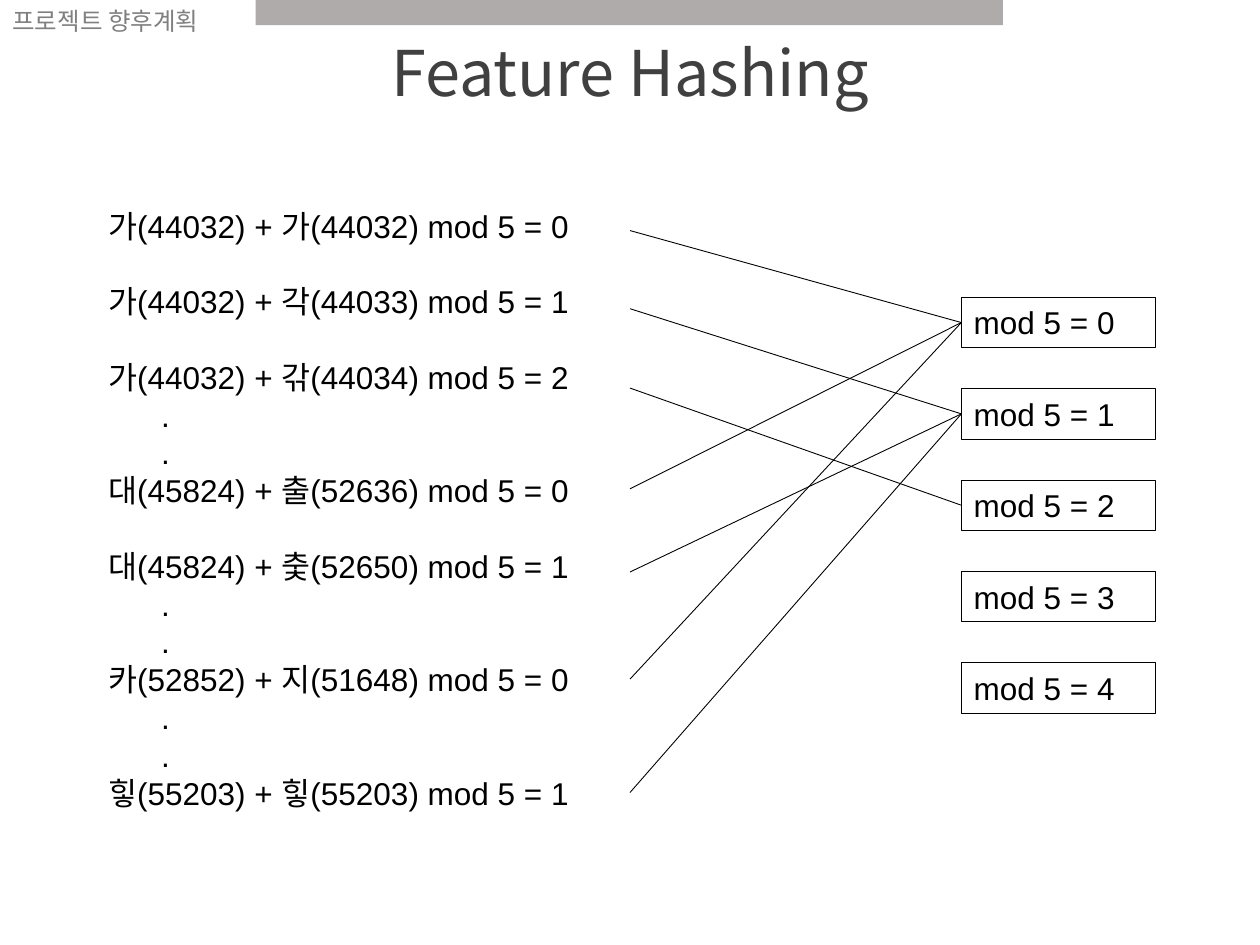
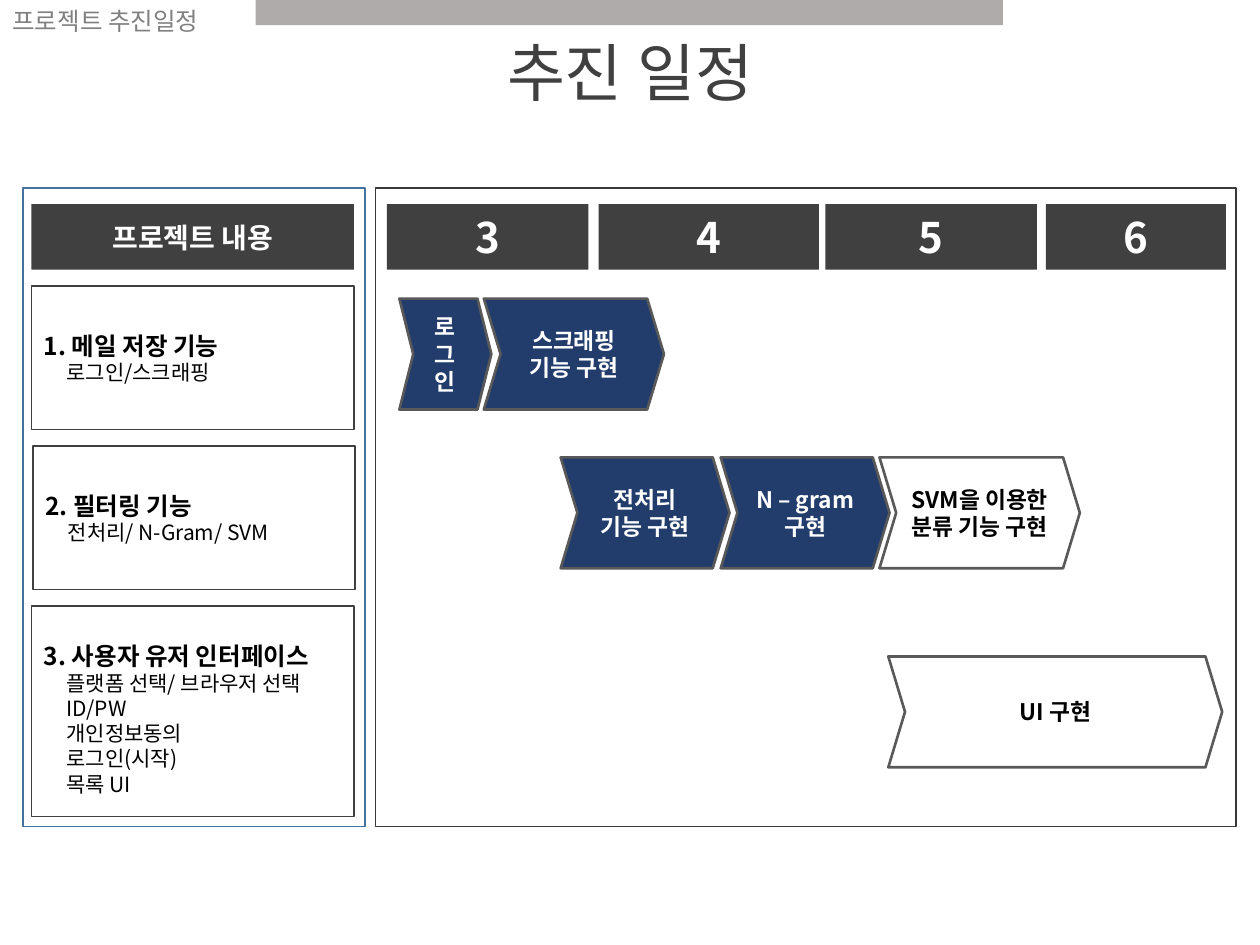
from dataclasses import dataclass
from typing import Optional

import lxml.etree
import pptx
import pptx.dml.color
import pptx.enum.shapes
import pptx.enum.text
import pptx.oxml.ns
import pptx.util

Inches = pptx.util.Inches
Pt = pptx.util.Pt
Kind = pptx.enum.shapes.MSO_SHAPE
Align = pptx.enum.text.PP_ALIGN
Anchor = pptx.enum.text.MSO_ANCHOR
qn = pptx.oxml.ns.qn

COLORS = {
    "band": "AFABAB", "tag": "808080", "dark": "404040", "black": "000000",
    "white": "FFFFFF", "navy": "223C6C", "arrow_edge": "595959",
    "plan_edge": "3B3838", "content_edge": "43739E",
}
HANGUL_FONT = "Noto Sans CJK KR"
LATIN_FONT = "Arial"


@dataclass(frozen=True)
class Area:
    left: float
    top: float
    width: float
    height: float

    def lengths(self) -> tuple:
        return tuple(Inches(n) for n in (self.left, self.top, self.width, self.height))


@dataclass(frozen=True)
class Style:
    size: float
    color: str = "black"
    bold: bool = False
    font: str = HANGUL_FONT
    align: Align = Align.LEFT
    spacing: Optional[float] = None
    indent: float = 0


@dataclass(frozen=True)
class Formula:
    text: str
    link_top: float
    remainder: int
    dots_before: bool = False


@dataclass(frozen=True)
class Month:
    name: str
    left: float
    width: float


@dataclass(frozen=True)
class Step:
    lines: tuple
    left: float
    top: float
    width: float
    done: bool = True


@dataclass(frozen=True)
class Feature:
    title: str
    details: tuple
    left: float
    height: float
    title_spacing: Optional[float] = None


def rgb(name: str) -> pptx.dml.color.RGBColor:
    return pptx.dml.color.RGBColor.from_string(COLORS[name])


def style_paragraph(para, style: Style) -> None:
    para.alignment = style.align
    if style.spacing:
        para.line_spacing = style.spacing
    properties = para._p.get_or_add_pPr()
    if style.indent:
        properties.set("marL", str(Inches(style.indent)))
        properties.set("indent", "0")
    font = para.font
    font.size, font.bold, font.name = Pt(style.size), style.bold, style.font
    font.color.rgb = rgb(style.color)
    east_asian = lxml.etree.SubElement(properties.find(qn("a:defRPr")), qn("a:ea"))
    east_asian.set("typeface", HANGUL_FONT)


def write(shape, lines: list, anchor: Anchor = Anchor.TOP, wrap: bool = True) -> None:
    """Fill a shape with (text, style) lines."""
    frame = shape.text_frame
    frame.word_wrap = wrap
    frame.vertical_anchor = anchor
    for index, (text, style) in enumerate(lines):
        para = frame.add_paragraph() if index else frame.paragraphs[0]
        para.text = text
        style_paragraph(para, style)


def add_box(page, area: Area, fill: str = "", line: str = "",
            weight: float = 1, kind: Kind = Kind.RECTANGLE):
    box = page.shapes.add_shape(kind, *area.lengths())
    box.shadow.inherit = False
    if fill:
        box.fill.solid()
        box.fill.fore_color.rgb = rgb(fill)
    else:
        box.fill.background()
    if line:
        box.line.color.rgb = rgb(line)
        box.line.width = Pt(weight)
    else:
        box.line.fill.background()
    return box


def add_text(page, area: Area, lines: list, anchor: Anchor = Anchor.TOP,
             wrap: bool = True):
    box = page.shapes.add_textbox(*area.lengths())
    write(box, lines, anchor, wrap)
    return box


def add_link(page, start: tuple, end: tuple) -> None:
    link = page.shapes.add_connector(
        pptx.enum.shapes.MSO_CONNECTOR.STRAIGHT,
        *(Inches(n) for n in (*start, *end)))
    link.line.color.rgb = rgb("black")
    link.line.width = Pt(0.5)
    lxml.etree.SubElement(link._element.spPr, qn("a:effectLst"))


def add_page(deck, tag: str, title: str):
    """Start a page with the shared band, corner tag and title."""
    page = deck.slides.add_slide(deck.slide_layouts[6])
    add_box(page, Area(2.03, 0, 5.93, 0.2), fill="band")
    add_text(page, Area(0, 0, 2.02, 0.34), [(tag, Style(14, "tag"))])
    title_style = Style(36, "dark", align=Align.CENTER, spacing=0.9)
    add_text(page, Area(0.76, 0.24, 8.48, 0.72), [(title, title_style)], Anchor.MIDDLE)
    return page


# Feature hashing: formulas on the left, remainder buckets on the right
FORMULAS = [
    Formula("가(44032) + 가(44032) mod 5 = 0", 1.83, 0),
    Formula("가(44032) + 각(44033) mod 5 = 1", 2.45, 1),
    Formula("가(44032) + 갂(44034) mod 5 = 2", 3.08, 2),
    Formula("대(45824) + 출(52636) mod 5 = 0", 3.88, 0, True),
    Formula("대(45824) + 춫(52650) mod 5 = 1", 4.54, 1),
    Formula("카(52852) + 지(51648) mod 5 = 0", 5.39, 0, True),
    Formula("힣(55203) + 힣(55203) mod 5 = 1", 6.29, 1, True),
]
LINE_PITCH = Pt(21.6)
BUCKET_COUNT = 5
BUCKET_LEFT, BUCKET_TOP, BUCKET_PITCH, BUCKET_HEIGHT = 7.63, 2.36, 0.725, 0.4


def build_hashing(deck) -> None:
    page = add_page(deck, "프로젝트 향후계획", "Feature Hashing")
    plain = Style(18, font=LATIN_FONT)
    dot = Style(18, font=LATIN_FONT, indent=0.42)

    lines = []
    for formula in FORMULAS:
        if formula.dots_before:
            lines += [(".", dot)] * 2
        lines.append((formula.text, plain))
    box = add_text(page, Area(0.76, 1.59, 4.27, 5.25), lines, wrap=False)
    spaced = {f.text for f in FORMULAS[1:] if not f.dots_before}
    for para in box.text_frame.paragraphs:
        para.line_spacing = LINE_PITCH
        if para.text in spaced:
            para.space_before = LINE_PITCH

    for remainder in range(BUCKET_COUNT):
        top = BUCKET_TOP + remainder * BUCKET_PITCH
        bucket = add_box(page, Area(BUCKET_LEFT, top, 1.54, BUCKET_HEIGHT),
                         line="black", weight=0.5)
        write(bucket, [(f"mod 5 = {remainder}", plain)], wrap=False)

    for formula in FORMULAS:
        middle = BUCKET_TOP + formula.remainder * BUCKET_PITCH + BUCKET_HEIGHT / 2
        add_link(page, (5, formula.link_top), (BUCKET_LEFT, middle))


# Schedule: features on the left, months and steps on the right
MONTHS = [Month("3", 3.07, 1.6), Month("4", 4.75, 1.75),
          Month("5", 6.55, 1.68), Month("6", 8.3, 1.43)]
STEPS = [
    Step(("로그인",), 3.17, 2.37, 0.73),
    Step(("스크래핑", "기능 구현"), 3.84, 2.37, 1.43),
    Step(("전처리", "기능 구현"), 4.45, 3.63, 1.34),
    Step(("N – gram 구현",), 5.72, 3.63, 1.34),
    Step(("SVM을 이용한", "분류 기능 구현"), 6.98, 3.63, 1.59, done=False),
    Step(("UI 구현",), 7.05, 5.21, 2.65, done=False),
]
FEATURES = [
    Feature("1. 메일 저장 기능", ("로그인/스크래핑",), 0.25, 1.14),
    Feature("2. 필터링 기능", ("전처리/ N-Gram/ SVM",), 0.26, 1.14),
    Feature("3. 사용자 유저 인터페이스",
            ("플랫폼 선택/ 브라우저 선택", "ID/PW", "개인정보동의", "로그인(시작)", "목록 UI"),
            0.25, 1.67, title_spacing=1.5),
]
FEATURE_TOP, FEATURE_PITCH = 2.27, 1.27


def add_header(page, text: str, left: float, width: float, size: float) -> None:
    header = add_box(page, Area(left, 1.62, width, 0.52), fill="dark")
    write(header, [(text, Style(size, "white", True, align=Align.CENTER))], Anchor.MIDDLE)


def add_step(page, step: Step) -> None:
    arrow = add_box(page, Area(step.left, step.top, step.width, 0.88),
                    "navy" if step.done else "", "arrow_edge", 1.5, Kind.CHEVRON)
    arrow.adjustments[0] = 0.151
    style = Style(13, "white" if step.done else "black", True, align=Align.CENTER)
    write(arrow, [(line, style) for line in step.lines], Anchor.MIDDLE)


def add_feature(page, feature: Feature, top: float) -> None:
    card = add_box(page, Area(feature.left, top, 2.56, feature.height), line="dark")
    heading = (feature.title, Style(14, bold=True, spacing=feature.title_spacing))
    detail = Style(12, indent=0.18)
    write(card, [heading] + [(text, detail) for text in feature.details], Anchor.MIDDLE)


def build_schedule(deck) -> None:
    page = add_page(deck, "프로젝트 추진일정", "추진 일정")
    add_box(page, Area(2.98, 1.49, 6.83, 5.07), line="plan_edge")
    add_box(page, Area(0.18, 1.49, 2.72, 5.07), line="content_edge")
    add_header(page, "프로젝트 내용", 0.25, 2.56, 16)
    for month in MONTHS:
        add_header(page, month.name, month.left, month.width, 24)
    for step in STEPS:
        add_step(page, step)
    for row, feature in enumerate(FEATURES):
        add_feature(page, feature, FEATURE_TOP + row * FEATURE_PITCH)


def main() -> None:
    deck = pptx.Presentation()
    deck.slide_width, deck.slide_height = Inches(10), Inches(7.5)
    build_hashing(deck)
    build_schedule(deck)
    deck.save("out.pptx")


if __name__ == "__main__":
    main()
